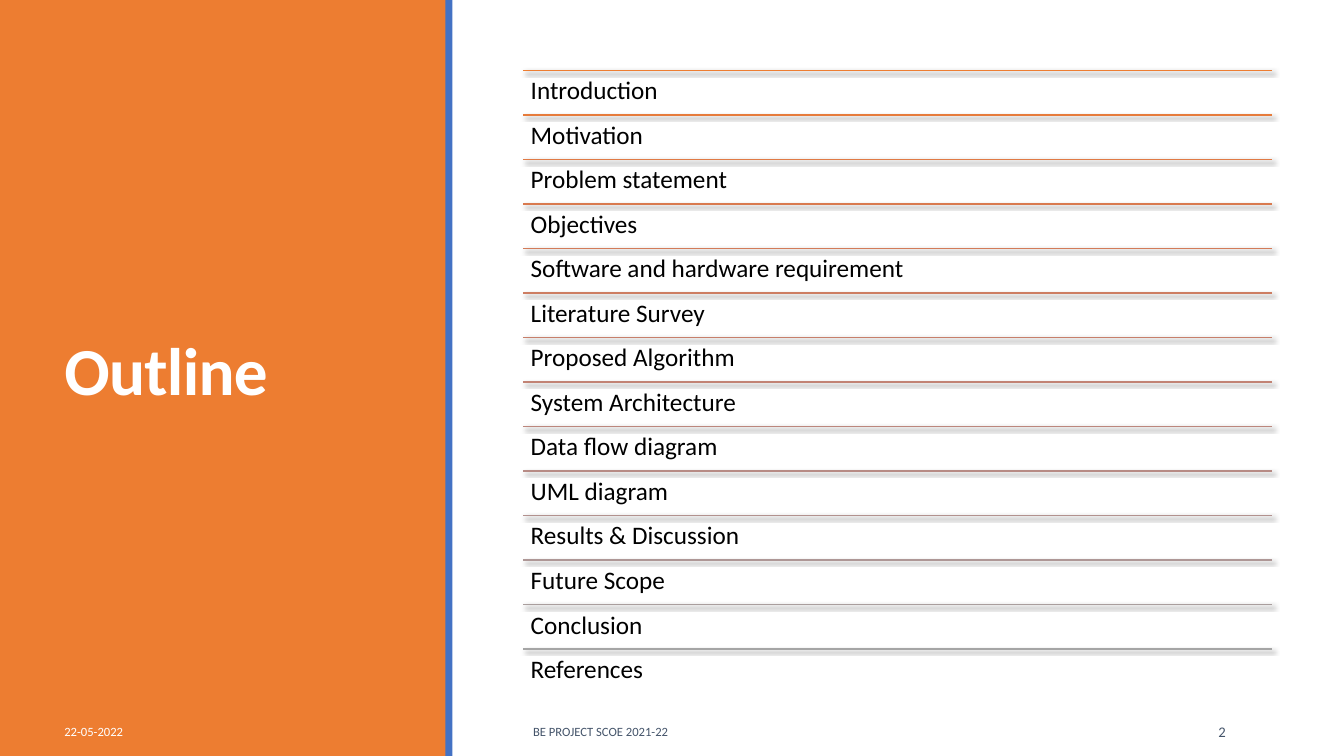
from lxml.etree import SubElement
from pptx import Presentation
from pptx.dml.color import RGBColor
from pptx.enum.shapes import MSO_CONNECTOR, MSO_SHAPE
from pptx.enum.text import MSO_ANCHOR, PP_ALIGN
from pptx.oxml.ns import qn
from pptx.util import Pt

ORANGE, BLUE, WHITE, SLATE, BLACK = "ED7D31", "4472C4", "FFFFFF", "44546A", "000000"
TOPICS = [
    ("Introduction\u00a0", "ED7D31"),
    ("Motivation", "E67B3B"),
    ("Problem statement\u00a0", "E07A45"),
    ("Objectives\u00a0", "D97A4F"),
    ("Software and hardware requirement", "D37B59"),
    ("Literature Survey", "CD7D62"),
    ("Proposed Algorithm", "C77F6B"),
    ("System Architecture", "C28374"),
    ("Data flow diagram", "BC877D"),
    ("UML diagram", "B78B85"),
    ("Results & Discussion", "B2918E"),
    ("Future Scope", "AE9796"),
    ("Conclusion", "A99E9D"),
    ("References", "A5A5A5"),
]
PANELS = [(0, 319, ORANGE), (318.1, 5.04, BLUE)]
FOOTERS = [
    ("22-05-2022", 38.9, 136.8, 9, WHITE, PP_ALIGN.LEFT),
    ("BE PROJECT SCOE 2021-22", 373.7, 401.8, 9, SLATE, PP_ALIGN.LEFT),
    ("2", 797, 85.7, 10.5, SLATE, PP_ALIGN.RIGHT),
]
FOOTER_TOP, FOOTER_HEIGHT = 508.3, 28.8
LIST_LEFT, LIST_TOP, LIST_WIDTH, ROW_HEIGHT = 373.7, 50.4, 535, 31.79


def color(value):
    return RGBColor.from_string(value)


def add_text(text, left, top, width, height, size, fill, margins=(7.2, 3.6),
             anchor=MSO_ANCHOR.MIDDLE):
    shape = slide.shapes.add_textbox(Pt(left), Pt(top), Pt(width), Pt(height))
    frame = shape.text_frame
    frame.word_wrap = True
    frame.vertical_anchor = anchor
    frame.margin_left = frame.margin_right = Pt(margins[0])
    frame.margin_top = frame.margin_bottom = Pt(margins[1])
    paragraph = frame.paragraphs[0]
    paragraph.text = text
    paragraph.font.name = "Calibri"
    paragraph.font.size = Pt(size)
    paragraph.font.color.rgb = color(fill)
    return paragraph


def add_rule(top, stroke):
    rule = slide.shapes.add_connector(
        MSO_CONNECTOR.STRAIGHT, Pt(LIST_LEFT), Pt(top), Pt(LIST_LEFT + LIST_WIDTH), Pt(top))
    rule.line.color.rgb = color(stroke)
    rule.line.width = Pt(1)
    effects = SubElement(rule._element.spPr, qn("a:effectLst"))
    shadow = SubElement(effects, qn("a:outerShdw"), blurRad=str(Pt(3)), dist=str(Pt(2)),
                        dir=str(45 * 60000), algn="ctr", rotWithShape="0")
    tint = SubElement(shadow, qn("a:srgbClr"), val=BLACK)
    SubElement(tint, qn("a:alpha"), val="60000")


presentation = Presentation()
presentation.slide_width, presentation.slide_height = Pt(960), Pt(540)
slide = presentation.slides.add_slide(presentation.slide_layouts[6])
slide.background.fill.solid()
slide.background.fill.fore_color.rgb = color(WHITE)

for left, width, fill in PANELS:
    panel = slide.shapes.add_shape(MSO_SHAPE.RECTANGLE, Pt(left), 0, Pt(width), Pt(540))
    panel.shadow.inherit = False
    panel.fill.solid()
    panel.fill.fore_color.rgb = color(fill)
    panel.line.fill.background()

title = add_text("Outline", 38.9, 41, 242.6, 454.3, 48, WHITE)
title.font.bold = True
title.line_spacing = 0.85
title.runs[0].font.bold = True
title.runs[0].font._element.set("spc", "-50")

for text, left, width, size, fill, alignment in FOOTERS:
    footer = add_text(text, left, FOOTER_TOP, width, FOOTER_HEIGHT, size, fill)
    footer.alignment = alignment

for index, (topic, stroke) in enumerate(TOPICS):
    top = LIST_TOP + index * ROW_HEIGHT
    add_rule(top, stroke)
    entry = add_text(topic, LIST_LEFT, top, LIST_WIDTH, ROW_HEIGHT, 18, BLACK,
                     (5.4, 5.4), MSO_ANCHOR.TOP)
    entry.line_spacing = 0.9

presentation.save("out.pptx")
